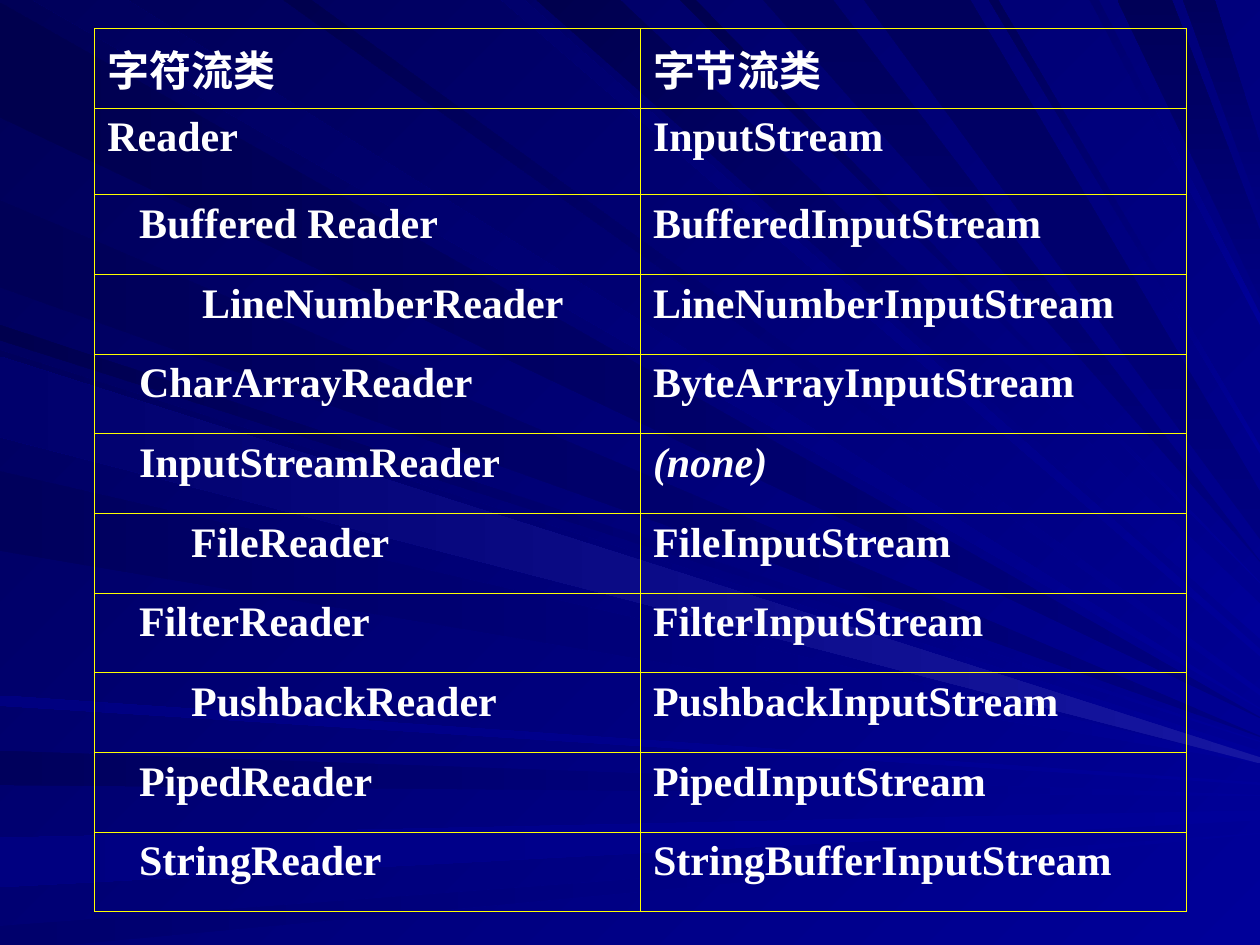
from collections import namedtuple

from lxml import etree
from pptx import Presentation
from pptx import util as u
from pptx.dml.color import RGBColor
from pptx.enum import text
from pptx.oxml.ns import qn

Box = namedtuple("Box", "left top width height")
Ray = namedtuple("Ray", "edge near far bright dark")

GLOW = RGBColor(0x16, 0x16, 0xA1)
ROYAL = RGBColor(0, 0, 0x99)
NAVY = RGBColor(0, 0, 0x80)
DIM = RGBColor(0, 0, 0x6C)
DARK = RGBColor(0, 0, 0x5C)
MIDNIGHT = RGBColor(0, 0, 0x57)
DEEP = RGBColor(0, 0, 0x4E)
WHITE = RGBColor(0xFF, 0xFF, 0xFF)
YELLOW = RGBColor(0xFF, 0xFF, 0x00)

# Gradients darken in these directions (counter-clockwise degrees)
UP, UP_LEFT, LEFT = 90, 135, 180

FONT = "Times New Roman"
BORDER_WIDTH = u.Pt(0.45)
INDENTS = [u.Cm(0), u.Cm(0.64), u.Cm(1.69), u.Cm(1.91)]

# Every ray runs from a span on the left or top edge to a span on the
# right edge, on a grid that is 1000 units wide.
GRID = 1000
RAYS = [
    Ray(LEFT, (2, 93), (569, 570), NAVY, DEEP),
    Ray(UP_LEFT, (26, 101), (562, 563), ROYAL, DARK),
    Ray(LEFT, (596, 623), (631, 632), ROYAL, DARK),
    Ray(LEFT, (665, 704), (643, 651), ROYAL, NAVY),
    Ray(LEFT, (735, 755), (661, 662), ROYAL, DIM),
    Ray(LEFT, (258, 270), (588, 589), ROYAL, DEEP),
    Ray(LEFT, (159, 228), (584, 585), NAVY, MIDNIGHT),
    Ray(UP_LEFT, (398, 416), (515, 521), ROYAL, DIM),
    Ray(UP_LEFT, (426, 492), (479, 507), ROYAL, DEEP),
    Ray(UP_LEFT, (540, 552), (462, 463), ROYAL, DEEP),
    Ray(UP, (606, 661), (445, 446), NAVY, DARK),
    Ray(UP, (887, 930), (183, 237), NAVY, MIDNIGHT),
    Ray(UP, (939, 964), (114, 167), NAVY, DARK),
    Ray(LEFT, (278, 342), (596, 602), ROYAL, DARK),
    Ray(LEFT, (374, 437), (605, 606), ROYAL, DARK),
    Ray(LEFT, (552, 560), (621, 623), ROYAL, NAVY),
    Ray(UP_LEFT, (225, 247), (547, 552), ROYAL, DEEP),
    Ray(UP, (686, 770), (390, 428), NAVY, DARK),
    Ray(UP_LEFT, (785, 792), (354, 360), ROYAL, MIDNIGHT),
    Ray(UP_LEFT, (865, 872), (249, 258), ROYAL, DIM),
    Ray(LEFT, (283, 347), (601, 606), GLOW, DIM),
]

# (indent level, character stream class, byte stream class)
STREAM_CLASSES = [
    (0, "字符流类", "字节流类"),
    (0, "Reader", "InputStream"),
    (1, "Buffered Reader", "BufferedInputStream"),
    (3, "LineNumberReader", "LineNumberInputStream"),
    (1, "CharArrayReader", "ByteArrayInputStream"),
    (1, "InputStreamReader", "(none)"),
    (2, "FileReader", "FileInputStream"),
    (1, "FilterReader", "FilterInputStream"),
    (2, "PushbackReader", "PushbackInputStream"),
    (1, "PipedReader", "PipedInputStream"),
    (1, "StringReader", "StringBufferInputStream"),
]


def paint(fill, bright, dark, direction):
    fill.gradient()
    fill.gradient_angle = direction
    for stop, colour in zip(fill.gradient_stops, (bright, dark)):
        stop.color.rgb = colour


def ray_corners(ray):
    low, high = ray.near
    if ray.edge == LEFT:
        first, last = (0, low), (0, high)
    else:
        first, last = (high, 0), (low, 0)
    return [first, *((GRID, y) for y in ray.far), last]


def add_rays(page, box):
    for ray in RAYS:
        first, *others = ray_corners(ray)
        builder = page.shapes.build_freeform(*first, scale=box.width / GRID)
        builder.add_line_segments(others, close=True)
        shape = builder.convert_to_shape(box.left, box.top)
        shape.shadow.inherit = False
        shape.line.fill.background()
        paint(shape.fill, ray.bright, ray.dark, ray.edge)


def add_borders(cell):
    properties = cell._tc.get_or_add_tcPr()
    for side in ("lnL", "lnR", "lnT", "lnB"):
        line = etree.SubElement(properties, qn(f"a:{side}"), w=str(BORDER_WIDTH))
        solid = etree.SubElement(line, qn("a:solidFill"))
        etree.SubElement(solid, qn("a:srgbClr"), val=str(YELLOW))


def write_cell(cell, wording, level):
    add_borders(cell)
    cell.fill.background()
    para = cell.text_frame.paragraphs[0]
    para.text = wording
    para._p.get_or_add_pPr().set("marL", str(INDENTS[level]))
    font = para.font
    font.name = FONT
    font.size = u.Pt(24)
    font.bold = True
    font.italic = wording == "(none)"
    font.color.rgb = WHITE


def add_class_table(page, box):
    row_count = len(STREAM_CLASSES)
    table = page.shapes.add_table(row_count, 2, *box).table
    table.first_row = table.horz_banding = False
    tall_row = u.Cm(1.75)
    for index, (level, reader, stream) in enumerate(STREAM_CLASSES):
        row = table.rows[index]
        row.height = tall_row if index == 1 else (box.height - tall_row) // (row_count - 1)
        write_cell(row.cells[0], reader, level)
        write_cell(row.cells[1], stream, 0)
    for cell in table.rows[0].cells:
        cell.vertical_anchor = text.MSO_ANCHOR.MIDDLE


def main():
    deck = Presentation()
    deck.slide_width, deck.slide_height = u.Cm(25.4), u.Cm(19.05)
    page = deck.slides.add_slide(deck.slide_layouts[6])
    paint(page.background.fill, ROYAL, MIDNIGHT, UP_LEFT)
    add_rays(page, Box(0, 0, deck.slide_width, deck.slide_height))
    add_class_table(page, Box(u.Cm(1.91), u.Cm(0.57), u.Cm(22), u.Cm(17.81)))
    deck.save("out.pptx")


if __name__ == "__main__":
    main()
